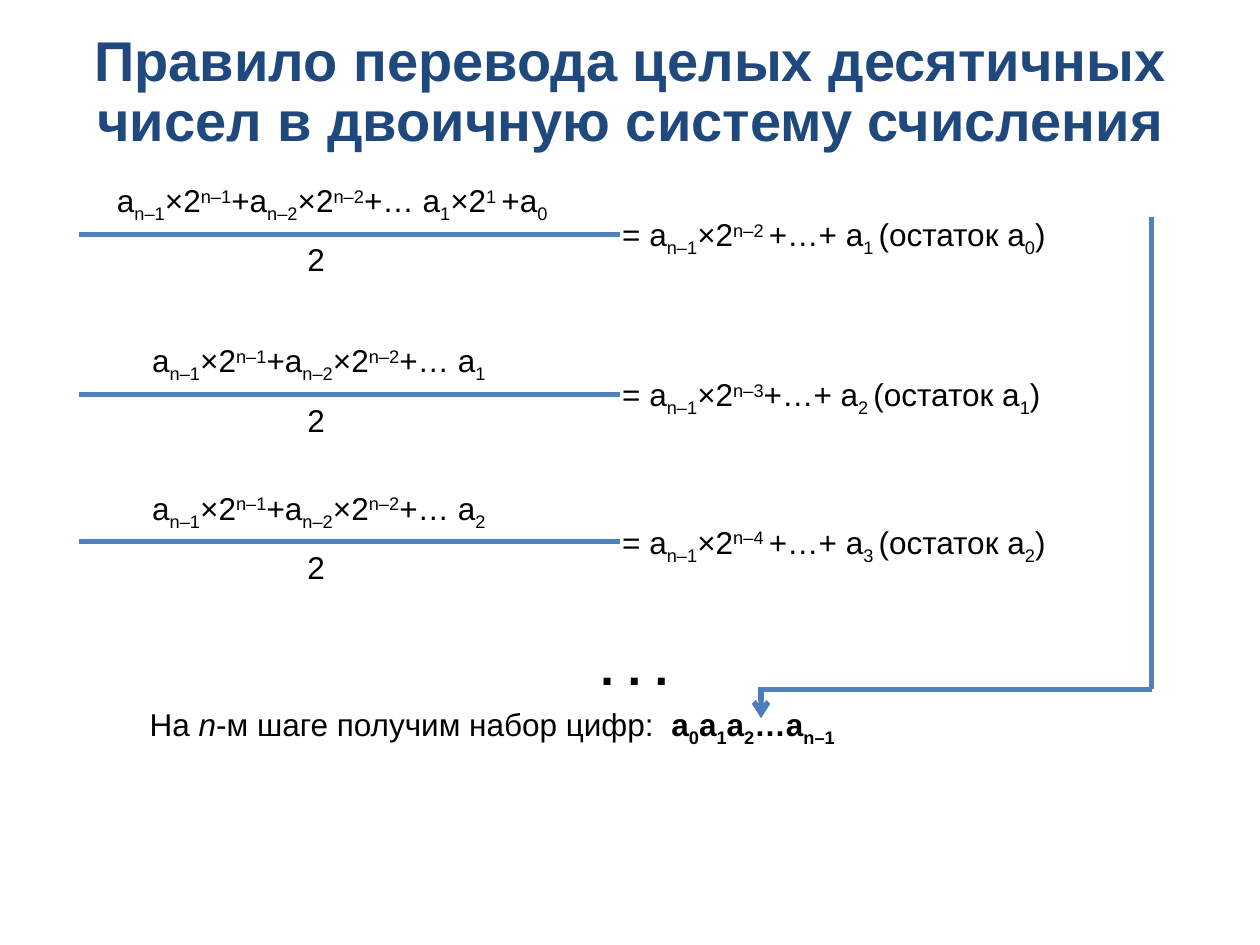
"""Build a slide with the rule for converting whole decimal numbers to binary."""
from lxml import etree
from pptx import Presentation
from pptx import util as u
from pptx.dml.color import RGBColor
from pptx.enum import shapes, text
from pptx.oxml.ns import qn

COLORS = {"title": "1F497D", "body": "000000", "line": "4F81BD", "arrow": "4A7EBB"}
FONT = "Arial"
WIDTH, HEIGHT = 10, 7.5
COLUMNS, ROWS = 100, 75
BASELINES = {"_": "-25000", "^": "30000"}
MARKS = "_^*/"

TITLE = "Правило перевода целых десятичных чисел в двоичную систему счисления"
HEAD = "a{_n–1}×2{^n–1}+a{_n–2}×2{^n–2}+… a"
STEPS = [
    {"bar": 18.6, "indent": 2.8, "top": HEAD + "{_1}×2{^1 }+a{_0}",
     "result": "= a{_n–1}×2{^n–2 }+…+ a{_1 }(остаток a{_0})"},
    {"bar": 31.3, "indent": 5.6, "top": HEAD + "{_1}",
     "result": "= a{_n–1}×2{^n–3}+…+ a{_2 }(остаток a{_1})"},
    {"bar": 43, "indent": 5.6, "top": HEAD + "{_2}",
     "result": "= a{_n–1}×2{^n–4 }+…+ a{_3 }(остаток a{_2})"},
]
DIVISOR = "2"
DOTS = ". . ."
ANSWER = ("На {/n}-м шаге получим набор цифр:\t"
          "{*a}{*_0}{*a}{*_1}{*a}{*_2}{*…a}{*_n–1}")
ROUTE = {"right": 91.4, "left": 60.2, "drop": 60.4, "top": 17.2, "turn": 54.7, "tip": 57}


def across(columns):
    return u.Inches(WIDTH * columns / COLUMNS)


def down(rows):
    return u.Inches(HEIGHT * rows / ROWS)


def add_text(page, markup, at, size=18, color="body", bold=False, align="LEFT",
             spacing=1.0, indent=0, tab=None):
    """Add a text box; {_x} lowers, {^x} raises, {*x} is bold and {/x} italic."""
    left, top, width, height = at
    box = page.shapes.add_textbox(across(left), down(top), across(width), down(height))
    box.text_frame.word_wrap = True
    para = box.text_frame.paragraphs[0]
    properties = para._p.get_or_add_pPr()
    if indent:
        properties.set("marL", str(across(indent)))
    if tab:
        stops = etree.SubElement(properties, qn("a:tabLst"))
        etree.SubElement(stops, qn("a:tab"), pos=str(across(tab)), algn="l")
    para.alignment = getattr(text.PP_ALIGN, align)
    para.line_spacing = spacing
    for index, piece in enumerate(markup.replace("}", "{").split("{")):
        words = piece.lstrip(MARKS) if index % 2 else piece
        if not words:
            continue
        marks = piece[:len(piece) - len(words)]
        span = para.add_run()
        span.text = words
        span.font.name, span.font.size = FONT, u.Pt(size)
        span.font.color.rgb = RGBColor.from_string(COLORS[color])
        span.font.bold = bold or "*" in marks
        span.font.italic = "/" in marks
        for mark, baseline in BASELINES.items():
            if mark in marks:
                span._r.get_or_add_rPr().set("baseline", baseline)


def add_line(page, start, end, color="line", arrow=False):
    line = page.shapes.add_connector(
        shapes.MSO_CONNECTOR.STRAIGHT, across(start[0]), down(start[1]),
        across(end[0]), down(end[1]))
    line.line.width = u.Pt(3)
    line.line.color.rgb = RGBColor.from_string(COLORS[color])
    if arrow:
        etree.SubElement(line.line._get_or_add_ln(), qn("a:tailEnd"), type="arrow")
    etree.SubElement(line._element.spPr, qn("a:effectLst"))


def add_step(page, step):
    bar = step["bar"]
    add_text(page, step["top"], (5.5, bar - 4.7, 43, 7.8), indent=step["indent"])
    add_line(page, (6.3, bar), (49.2, bar))
    add_text(page, step["result"], (48.4, bar - 2, 41.4, 4.4))
    add_text(page, DIVISOR, (23.4, bar, 10.2, 4))


def add_route(page):
    corner = (ROUTE["right"], ROUTE["turn"])
    add_line(page, (ROUTE["right"], ROUTE["top"]), corner)
    add_line(page, corner, (ROUTE["left"], ROUTE["turn"]))
    add_line(page, (ROUTE["drop"], ROUTE["turn"]), (ROUTE["drop"], ROUTE["tip"]),
             color="arrow", arrow=True)


def main():
    deck = Presentation()
    deck.slide_width, deck.slide_height = u.Inches(WIDTH), u.Inches(HEIGHT)
    page = deck.slides.add_slide(deck.slide_layouts[6])
    add_text(page, TITLE, (5.9, 2.1, 88.3, 10.6), size=32, color="title", bold=True,
             align="CENTER", spacing=0.9)
    for step in STEPS:
        add_step(page, step)
    add_text(page, DOTS, (36.7, 50, 27.3, 5.7), size=28, bold=True, align="CENTER")
    add_text(page, ANSWER, (10.9, 55.5, 73.4, 4.4), align="JUSTIFY", tab=41.4)
    add_route(page)
    deck.save("out.pptx")


if __name__ == "__main__":
    main()
